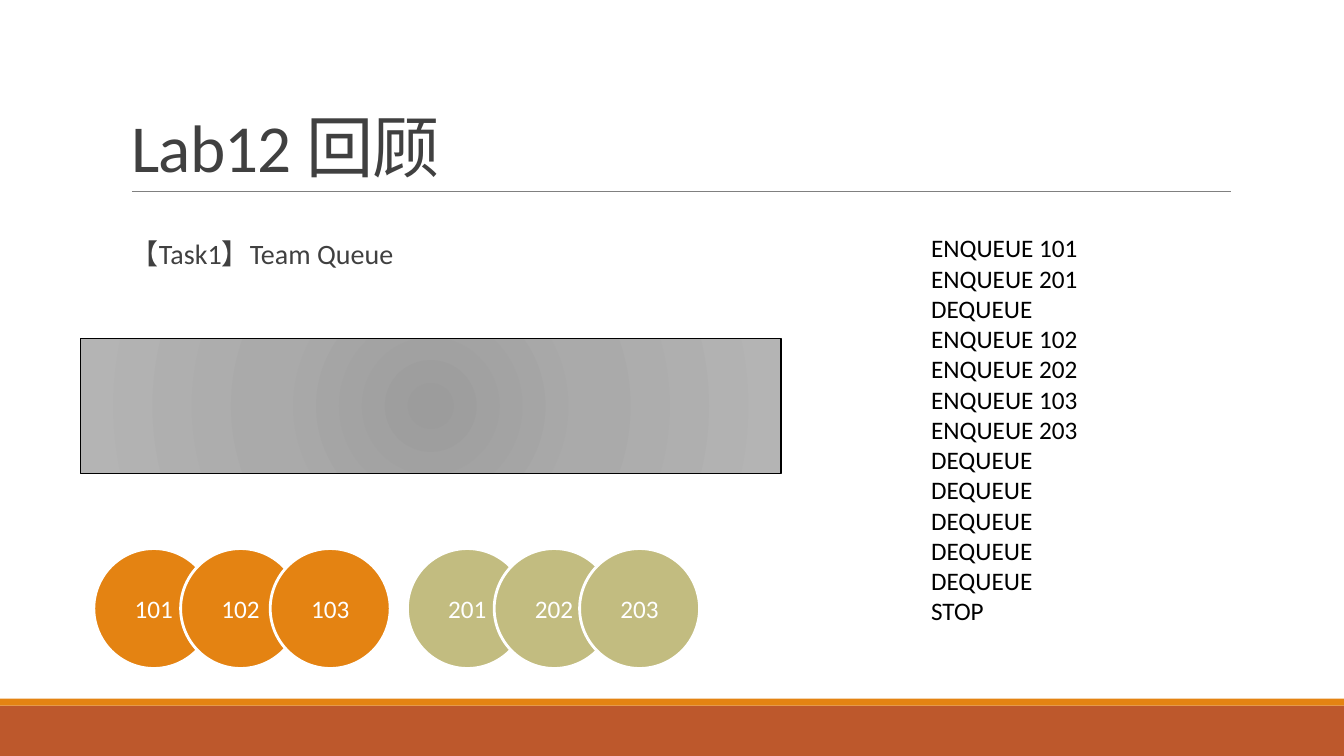
from lxml.etree import SubElement
from pptx import Presentation
from pptx.dml.color import RGBColor
from pptx.enum.shapes import MSO_CONNECTOR, MSO_SHAPE
from pptx.enum.text import MSO_ANCHOR, MSO_AUTO_SIZE, PP_ALIGN
from pptx.oxml import parse_xml
from pptx.oxml.ns import nsdecls, qn
from pptx.util import Pt

THEME = {
    "font": "Calibri",
    "rust": "BD582C", "orange": "E48312", "olive": "C2BC80",
    "rule": "808080", "heading": "404040", "black": "000000", "white": "FFFFFF",
    "queue": [(0, "9C9C9C"), (45, "AAAAAA"), (100, "B4B4B4")],
    "title_size": 48, "task_size": 20, "body_size": 18,
}


def add_filled(kind, box, fill=None, line=None, width=1):
    """Add a shadowless preset shape; fill and line are theme colour names."""
    sp = s.shapes.add_shape(kind, *map(Pt, box))
    sp.shadow.inherit = False
    if fill:
        sp.fill.solid()
        sp.fill.fore_color.rgb = RGBColor.from_string(THEME[fill])
    if line:
        sp.line.color.rgb = RGBColor.from_string(THEME[line])
        sp.line.width = Pt(width)
    else:
        sp.line.fill.background()
    return sp


def write(sp, lines, size, color, frame, para):
    """Write one paragraph per line, applying frame and paragraph formats."""
    tf = sp.text_frame
    tf.text = "\n".join(lines)
    for name, value in frame.items():
        setattr(tf, name, value)
    for p in tf.paragraphs:
        for name, value in para.items():
            setattr(p, name, value)
        font = p.runs[0].font
        font.name, font.size = THEME["font"], Pt(THEME[size])
        font.color.rgb = RGBColor.from_string(THEME[color])


prs = Presentation()
prs.slide_width, prs.slide_height = Pt(960), Pt(540)
s = prs.slides.add_slide(prs.slide_layouts[5])

# Footer bands and the rule under the title
add_filled(MSO_SHAPE.RECTANGLE, (0, 504, 960, 36), "rust")
add_filled(MSO_SHAPE.RECTANGLE, (0, 499, 960, 5), "orange")
rule = s.shapes.add_connector(MSO_CONNECTOR.STRAIGHT, Pt(94.3), Pt(136.8), Pt(879), Pt(136.8))
rule.line.color.rgb = RGBColor.from_string(THEME["rule"])
rule.line.width = Pt(0.5)
SubElement(rule._element.spPr, qn("a:effectLst"))

# Queue with a radial gradient
queue = add_filled(MSO_SHAPE.RECTANGLE, (57.5, 241.6, 500.4, 96.8), line="black")
stops = "".join(f'<a:gs pos="{pos * 1000}"><a:srgbClr val="{color}"/></a:gs>'
                for pos, color in THEME["queue"])
queue._element.spPr.find(qn("a:prstGeom")).addnext(parse_xml(
    f'<a:gradFill {nsdecls("a")} rotWithShape="1"><a:gsLst>{stops}</a:gsLst>'
    '<a:path path="circle"><a:fillToRect l="100000" t="100000" r="100000" b="100000"/>'
    '</a:path></a:gradFill>'))

# Title
title = s.shapes.title
title.left, title.top, title.width, title.height = map(Pt, (86.4, 22.6, 792, 114.2))
write(title, ["Lab12 回顾"], "title_size", "heading",
      {"vertical_anchor": MSO_ANCHOR.BOTTOM, "word_wrap": True, "auto_size": MSO_AUTO_SIZE.NONE},
      {"alignment": PP_ALIGN.LEFT, "line_spacing": 0.85})
title.text_frame.paragraphs[0].runs[0].font._element.set("spc", "-50")

# Task name
grow = {"word_wrap": True, "auto_size": MSO_AUTO_SIZE.SHAPE_TO_FIT_TEXT}
task = s.shapes.add_textbox(Pt(86.4), Pt(153.4), Pt(571.7), Pt(39.6))
write(task, ["【Task1】Team Queue"], "task_size", "heading", grow,
      {"line_spacing": 1.5, "space_before": Pt(12), "space_after": Pt(2)})

# Members of the two teams
teams = [("orange", 101, (67, 129, 193)), ("olive", 201, (291, 353, 414))]
for color, first, lefts in teams:
    for number, left in enumerate(lefts, first):
        member = add_filled(MSO_SHAPE.OVAL, (left, 391.8, 85.7, 85.7), color, "white", 2)
        write(member, [str(number)], "body_size", "white",
              {"vertical_anchor": MSO_ANCHOR.MIDDLE}, {"alignment": PP_ALIGN.CENTER})

# Command list
enqueue, dequeue = "ENQUEUE {}".format, "DEQUEUE"
commands = [*map(enqueue, (101, 201)), dequeue,
            *map(enqueue, (102, 202, 103, 203)), *[dequeue] * 5, "STOP"]
listing = s.shapes.add_textbox(Pt(658), Pt(162.7), Pt(160), Pt(291))
write(listing, commands, "body_size", "black", grow, {})

prs.save("out.pptx")
